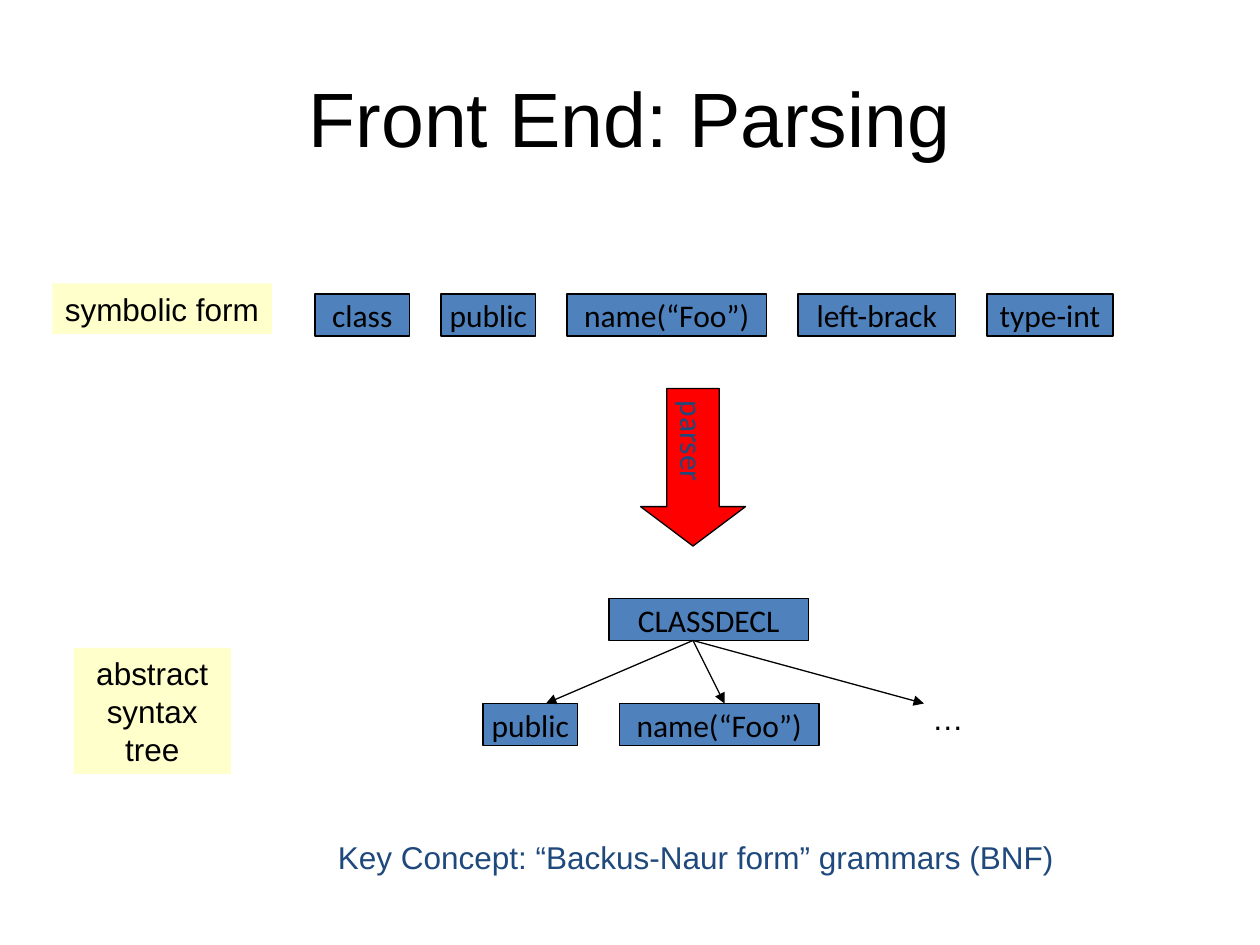
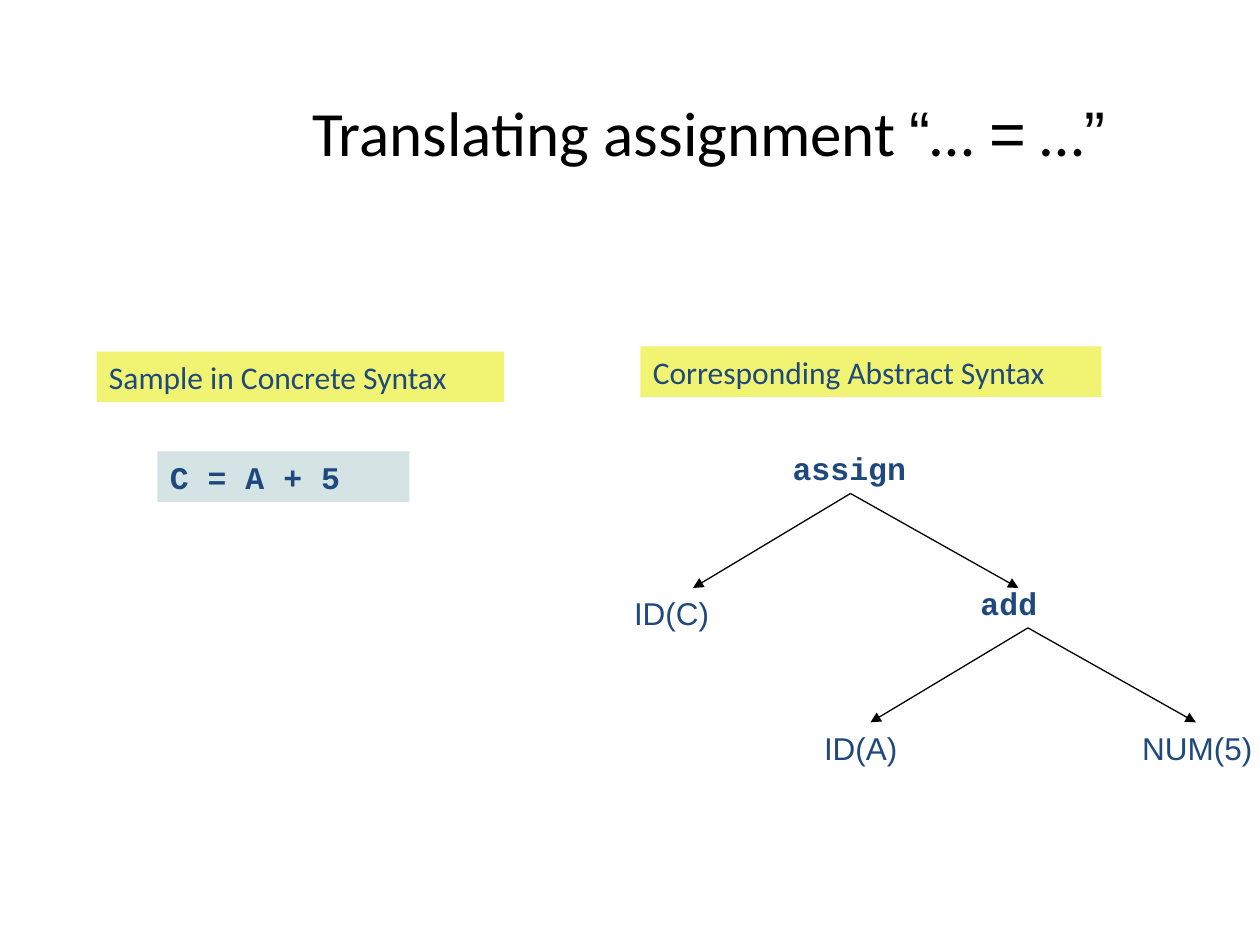
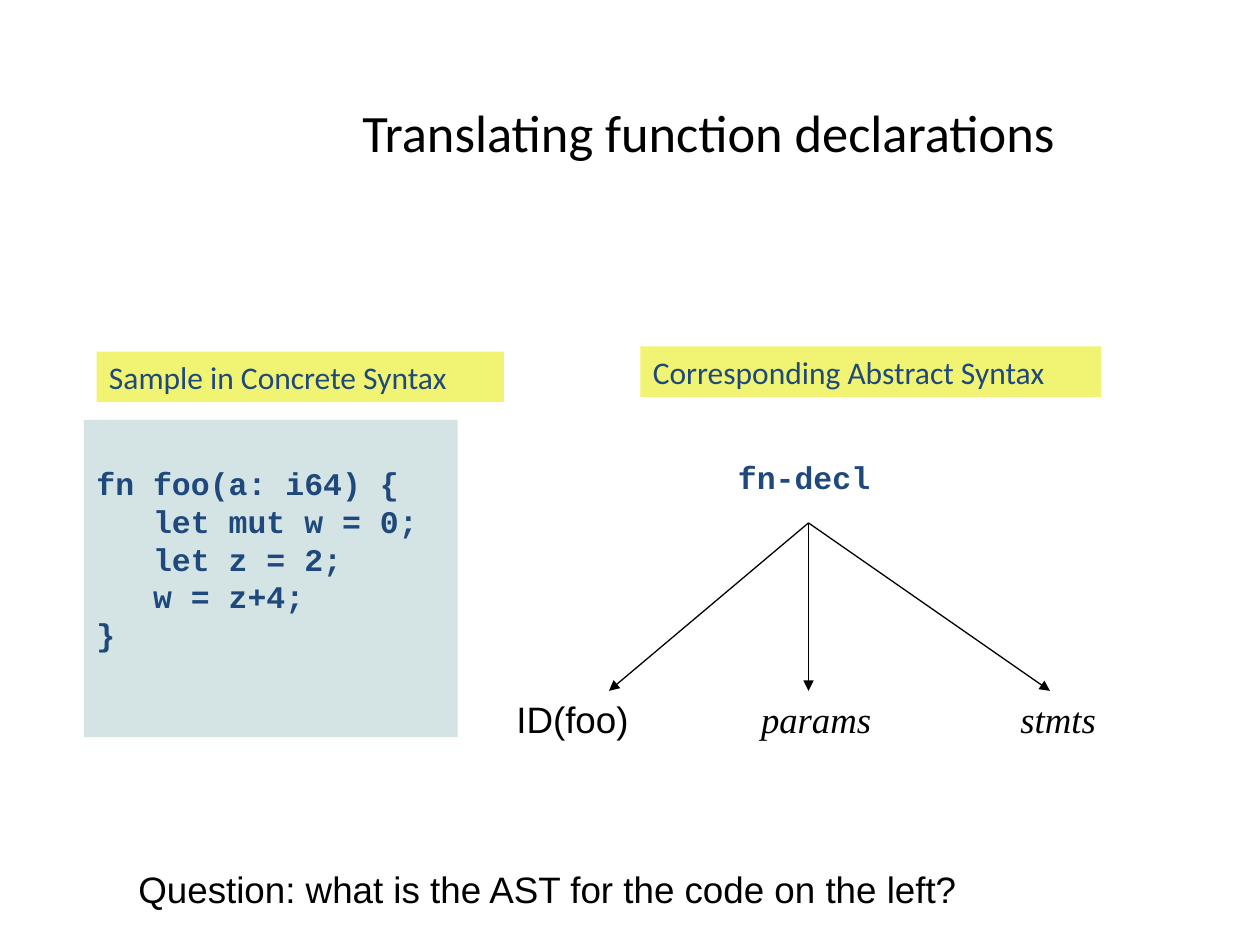
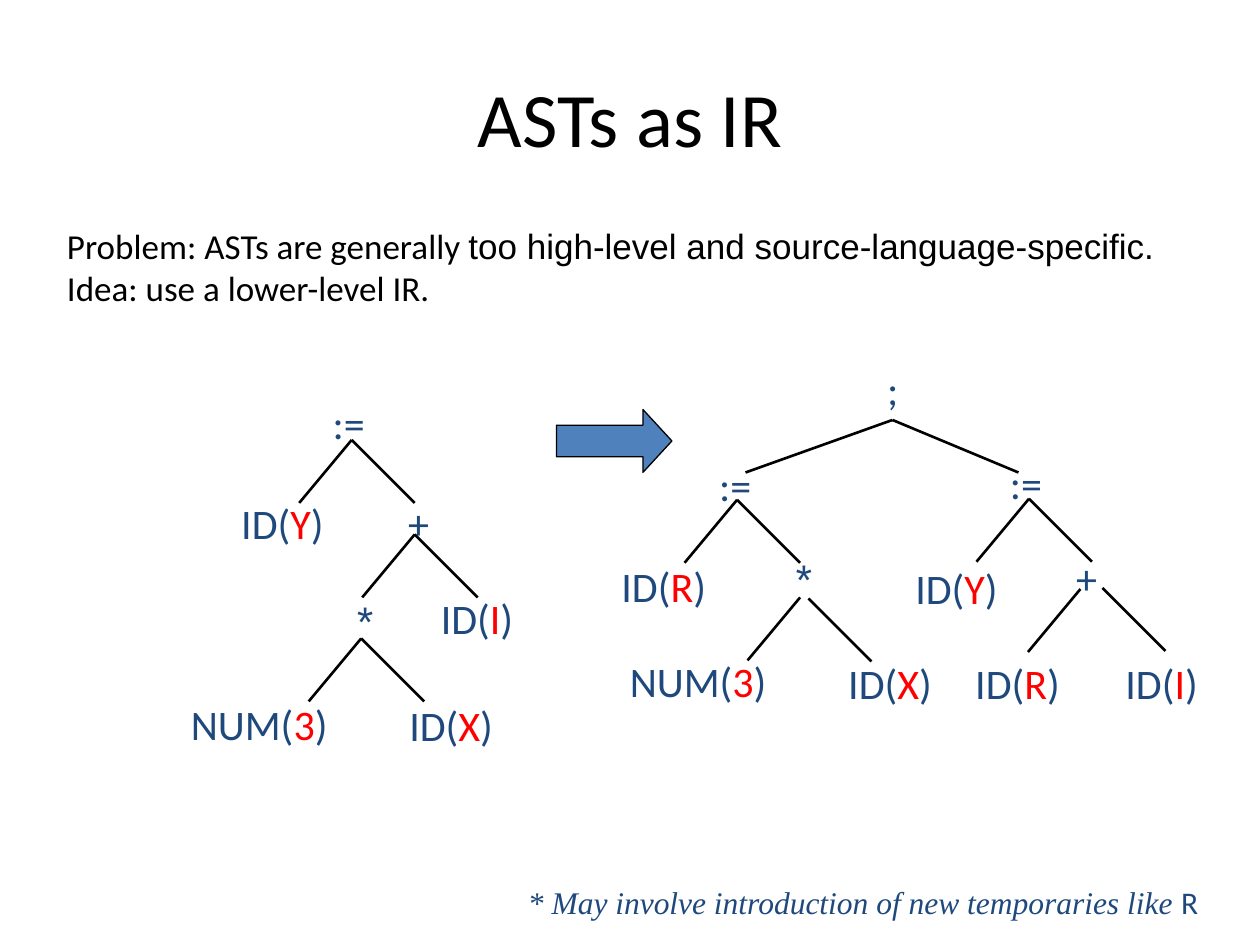
from lxml import etree
from pptx import Presentation
from pptx.dml.color import RGBColor
from pptx.enum.shapes import MSO_CONNECTOR, MSO_SHAPE
from pptx.enum.text import MSO_ANCHOR, PP_ALIGN
from pptx.oxml.ns import qn
from pptx.util import Inches, Pt

RECT, DOWN, RIGHT = MSO_SHAPE.RECTANGLE, MSO_SHAPE.DOWN_ARROW, MSO_SHAPE.RIGHT_ARROW
STRAIGHT = MSO_CONNECTOR.STRAIGHT
LEFT, CENTER = PP_ALIGN.LEFT, PP_ALIGN.CENTER
TOP, MIDDLE = MSO_ANCHOR.TOP, MSO_ANCHOR.MIDDLE

COLORS = {"ink": "000000", "navy": "1F497D", "blue": "4F81BD", "red": "FF0000",
          "cream": "FFFFCC", "yellow": "F1F472", "mint": "D4E4E4"}
SANS, BODY, MONO, SERIF = "Arial", "Calibri", "Courier New", "Times New Roman"

# Character styles
PLAIN = {"name": SANS, "size": 18, "color": "ink"}
NAVY = {**PLAIN, "color": "navy"}
TOKEN = {**PLAIN, "name": BODY}
HEADING = {**NAVY, "name": BODY}
CODE = {**NAVY, "name": MONO, "bold": True}
LARGE = {**PLAIN, "size": 21}
NODE = {**HEADING, "size": 24}

# Grid: 120 columns by 90 rows
COLUMNS, ROWS = 120, 90
LINE = 4.8  # rows taken by one line of text
STANDARD_TITLE = (6, 3.6, 108, 15)
SHIFTED_TITLE = (20, 2.5, 95, 20)
BRANCH = [(-5, 6), (6, 6)]


class Deck:
    """Holds the style and the current slide; lengths are grid columns and rows."""

    def __init__(self):
        self.prs = Presentation()
        self.prs.slide_width, self.prs.slide_height = Inches(10), Inches(7.5)
        self.slide = None

    def col(self, n):
        return round(self.prs.slide_width * n / COLUMNS)

    def row(self, n):
        return round(self.prs.slide_height * n / ROWS)

    def box(self, x, y, w, h):
        return self.col(x), self.row(y), self.col(w), self.row(h)

    def fill_text(self, frame, paragraphs, style, align=LEFT, tabs=()):
        """A paragraph is a string or a list of strings and (string, changes) pairs."""
        for i, runs in enumerate(paragraphs):
            paragraph = frame.paragraphs[0] if i == 0 else frame.add_paragraph()
            paragraph.alignment = align
            if tabs:
                stops = etree.SubElement(paragraph._p.get_or_add_pPr(), qn("a:tabLst"))
                for stop in tabs:
                    etree.SubElement(stops, qn("a:tab"), pos=str(self.col(stop)), algn="l")
            for part in [runs] if isinstance(runs, str) else runs:
                words, changes = (part, {}) if isinstance(part, str) else part
                run = paragraph.add_run()
                run.text = words
                values = {**style, **changes}
                run.font.color.rgb = RGBColor.from_string(COLORS[values.pop("color")])
                values["size"] = Pt(values["size"])
                for key, value in values.items():
                    setattr(run.font, key, value)

    def new_slide(self, title, size, area, font=BODY):
        self.slide = self.prs.slides.add_slide(self.prs.slide_layouts[5])
        heading = self.slide.shapes.title
        place = dict(zip(("left", "top", "width", "height"), self.box(*area)))
        for key, value in place.items():
            setattr(heading, key, value)
        heading.text_frame.vertical_anchor = MIDDLE
        self.fill_text(heading.text_frame, [title], {**PLAIN, "name": font, "size": size}, CENTER)

    def text(self, area, paragraphs, style, wrap=False, tabs=()):
        frame = self.slide.shapes.add_textbox(*self.box(*area)).text_frame
        frame.word_wrap = wrap
        self.fill_text(frame, paragraphs, style, tabs=tabs)

    def shape(self, area, fill, kind=RECT, outline=True, adjust=()):
        shape = self.slide.shapes.add_shape(kind, *self.box(*area))
        shape.shadow.inherit = False
        shape.fill.solid()
        shape.fill.fore_color.rgb = RGBColor.from_string(COLORS[fill])
        if outline:
            shape.line.color.rgb = RGBColor.from_string(COLORS["ink"])
            shape.line.width = Pt(0.75)
        else:
            shape.line.fill.background()
        for i, value in enumerate(adjust):
            shape.adjustments[i] = value
        return shape

    def token(self, x, y, w, word):
        frame = self.shape((x, y, w, 4), "blue").text_frame
        frame.word_wrap, frame.vertical_anchor = False, MIDDLE
        self.fill_text(frame, [word], TOKEN, CENTER)

    def panel(self, area, fill, paragraphs, style, align=LEFT, wrap=True, inset=0.6):
        frame = self.shape(area, fill, outline=False).text_frame
        frame.word_wrap, frame.vertical_anchor = wrap, TOP
        frame.margin_top = self.row(inset)
        self.fill_text(frame, paragraphs, style, align)

    def fork(self, x, y, offsets, width=0.75, arrow=True):
        """Lines from one apex to each of the given offsets."""
        for dx, dy in offsets:
            edge = self.slide.shapes.add_connector(
                STRAIGHT, self.col(x), self.row(y), self.col(x + dx), self.row(y + dy))
            edge.line.color.rgb = RGBColor.from_string(COLORS["ink"])
            edge.line.width = Pt(width)
            properties = edge._element.spPr
            if arrow:
                etree.SubElement(properties.find(qn("a:ln")), qn("a:tailEnd"), type="triangle")
            etree.SubElement(properties, qn("a:effectLst"))

    def syntax_headings(self):
        self.panel((9.2, 33.5, 38.8, LINE), "yellow", ["Sample in Concrete Syntax"], HEADING)
        self.panel((61, 33, 43.9, LINE), "yellow", ["Corresponding Abstract Syntax"], HEADING)

    def operator(self, symbol, x, y, w):
        font = MONO if symbol == "*" else BODY
        self.text((x, y, w, 6), [symbol], {**NODE, "name": font})

    def operand(self, kind, value, x, y, w):
        self.text((x, y, w, 6), [[kind + "(", (value, {"color": "red"}), ")"]], NODE)


def parsing(deck):
    deck.new_slide("Front End: Parsing", 44, STANDARD_TITLE, SANS)

    # Token stream with equal gaps
    x = 30
    for word, width in [("class", 9), ("public", 9), ("name(“Foo”)", 19),
                        ("left-brack", 15), ("type-int", 12)]:
        deck.token(x, 28, width, word)
        x += width + 3

    # Parser arrow
    parser = deck.shape((61, 37, 10, 15), "red", DOWN, adjust=(0.5, 0.375)).text_frame
    parser.word_wrap, parser.vertical_anchor = False, MIDDLE
    parser._txBody.bodyPr.set("vert", "eaVert")
    deck.fill_text(parser, ["parser"], HEADING, CENTER)

    # Syntax tree
    deck.token(58, 57, 19, "CLASSDECL")
    deck.token(46, 67, 9, "public")
    deck.token(59, 67, 19, "name(“Foo”)")
    deck.fork(66, 61, [(-14, 6), (3, 6), (22, 6)])
    deck.text((87.6, 66, 5.4, LINE), ["…"], PLAIN)

    # Captions
    deck.panel((5, 27, 20.9, LINE), "cream", ["symbolic form"], PLAIN, wrap=False)
    deck.panel((7, 61.7, 15, 12), "cream", ["abstract", "syntax", "tree"], PLAIN, CENTER)
    deck.text((31, 79.2, 72.2, LINE), ["Key Concept: “Backus-Naur form” grammars (BNF)"], NAVY)


def assignment(deck):
    sans, mono = {"name": SANS}, {"name": MONO}
    deck.new_slide(["Translating assignment ", ("“", sans), "… ", ("=", mono), " …", ("”", sans)],
                   36, SHIFTED_TITLE)
    deck.syntax_headings()
    deck.panel((15, 43, 24, LINE), "mint", ["C = A + 5"], CODE)

    # Assign node and its children
    deck.text((74.3, 42.2, 13.3, LINE), ["assign"], CODE)
    deck.text((59.2, 56, 10.2, LINE), ["ID(C)"], NAVY)
    deck.fork(81, 47, [(-15, 9), (16, 9)])

    # Add node and its children
    deck.text((92.2, 55, 7.9, LINE), ["add"], CODE)
    deck.text((77.3, 68.8, 43.7, LINE), ["ID(A)\tNUM(5)"], NAVY, wrap=True, tabs=[30.3])
    deck.fork(97.9, 59.8, [(-15, 9), (16, 9)])


def function_declarations(deck):
    deck.new_slide("Translating function declarations", 30, SHIFTED_TITLE)
    deck.syntax_headings()
    deck.text((12, 82, 97, 5.4), ["Question: what is the AST for the code on the left?"],
              LARGE, wrap=True)
    deck.panel((8, 40, 35.6, 30.2), "mint",
               ["fn foo(a: i64) {", "   let mut w = 0;", "   let z = 2;", "   w = z+4;", "}"],
               CODE, inset=4.2)

    # Declaration tree
    deck.text((69.1, 43, 15.1, LINE), ["fn-decl"], CODE)
    deck.fork(77, 49.8, [(-19, 16), (0, 16), (23, 16)])
    deck.text((48, 65.8, 71, 5.4),
              [["ID(foo)\t", ("params\tstmts", {"name": SERIF, "italic": True})]],
              LARGE, wrap=True, tabs=[23.3, 48])


def asts_as_ir(deck):
    deck.new_slide("ASTs as IR", 44, STANDARD_TITLE)
    deck.text((5.2, 20.8, 107.3, 9.2),
              [["Problem: ASTs are generally ",
                ("too high-level and source-language-specific.", {"name": SANS})],
               "Idea: use a lower-level IR."], {**TOKEN, "size": 20}, wrap=True)

    # Operators: source tree, then lowered tree
    for node in [(":=", 30.5, 37.3, 5.9), ("+", 37.7, 46.8, 4.8), ("*", 32.4, 56.2, 4.8),
                 (";", 83.3, 34, 3.5), (":=", 67.3, 43.2, 5.9), (":=", 95, 43, 5.9),
                 ("*", 74.2, 52.2, 4.8), ("+", 101.3, 52, 4.8)]:
        deck.operator(*node)

    # Operands: source tree, then lowered tree
    for node in [("ID", "Y", 21.8, 46.8, 10.3), ("ID", "I", 40.8, 55.8, 9.4),
                 ("NUM", "3", 17, 65.9, 15.6), ("ID", "X", 37.8, 66, 10.4),
                 ("ID", "R", 58, 52.8, 10.6), ("NUM", "3", 58.8, 61.8, 15.6),
                 ("ID", "X", 79.6, 62, 10.4), ("ID", "Y", 86, 53, 10.3),
                 ("ID", "R", 91.7, 62, 10.6), ("ID", "I", 106, 62, 9.4)]:
        deck.operand(*node)

    # Branches
    left, right = BRANCH[:1], BRANCH[1:]
    for x, y, offsets in [(33.5, 41.9, BRANCH), (39.5, 50.9, BRANCH), (34.4, 60.8, BRANCH),
                          (85, 40, [(-14, 5), (12, 5)]),
                          (70.2, 47.6, BRANCH), (98, 47.5, BRANCH),
                          (76.2, 56.9, left), (77, 57, right),
                          (102.9, 56.1, left), (105, 56, right)]:
        deck.fork(x, y, offsets, width=1.5, arrow=False)

    # Lowering arrow and remark
    deck.shape((53, 39, 11, 6), "blue", RIGHT, adjust=(0.5, 0.46))
    deck.text((49.1, 83.5, 66.8, LINE),
              [["* May involve introduction of new temporaries like ",
                ("R", {"name": BODY, "italic": False})]],
              {**NAVY, "name": SERIF, "italic": True})


def main():
    deck = Deck()
    for build in (parsing, assignment, function_declarations, asts_as_ir):
        build(deck)
    deck.prs.save("out.pptx")


if __name__ == "__main__":
    main()
